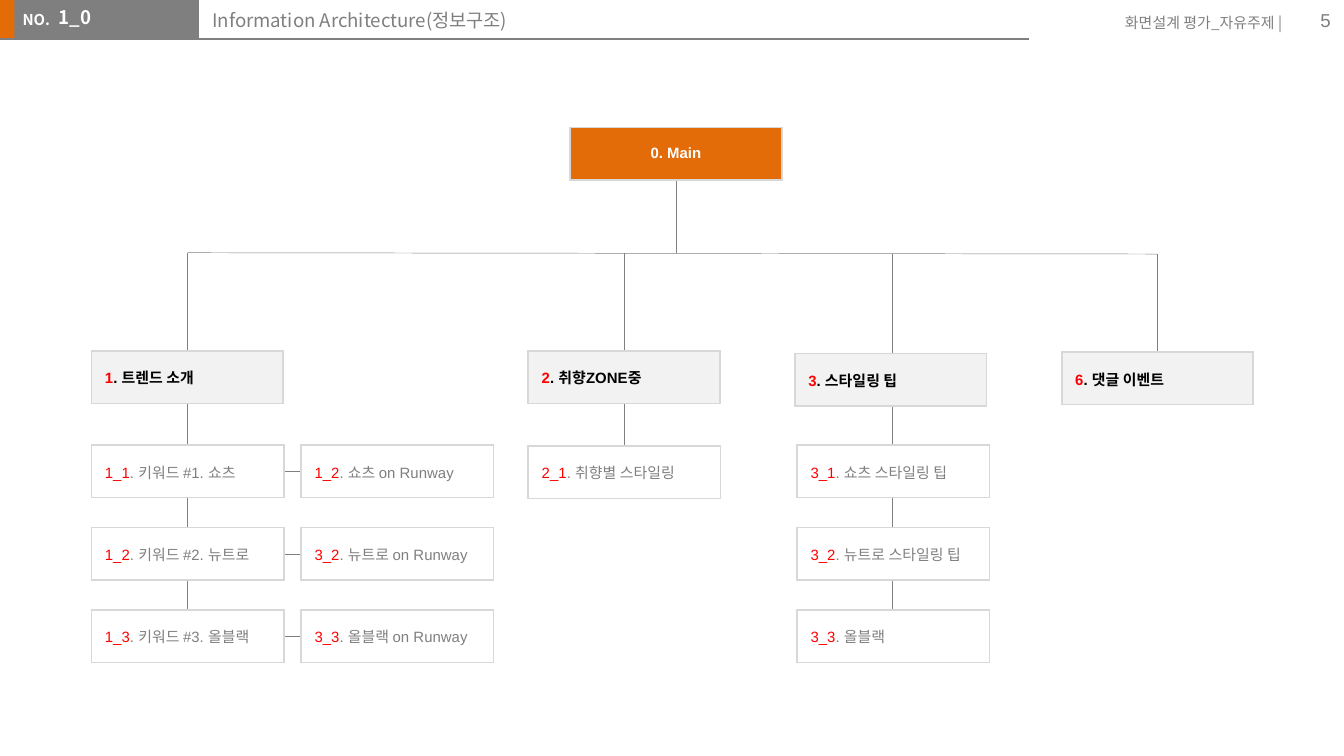
"""Builds the information architecture slide: a header bar and a site tree of boxes."""
from typing import NamedTuple

from lxml import etree
from pptx import Presentation
from pptx import util as u
from pptx.dml.color import RGBColor
from pptx.enum import shapes, text
from pptx.oxml.ns import qn

COLORS = {
    "orange": "E36C09", "gray": "7F7F7F", "line": "808080", "border": "D8D8D8",
    "pale": "F2F2F2", "white": "FFFFFF", "black": "000000", "red": "FF0000",
}
LATIN, KOREAN = "Arial", "Noto Sans CJK KR"
BOX_HEIGHT = 28.1
HEAD_TOP, CHILD_TOP, CHILD_STEP = 188, 238.5, 44.2
RUNWAY_LEFT = 161.3


class Branch(NamedTuple):
    number: str
    label: str
    left: float
    top: float
    child_left: float
    child_top: float
    children: list[tuple[str, str]]
    stem_x: float
    stem_top: float
    stem_bottom: float


BRANCHES = [
    Branch("1", ". 트렌드 소개", 49, HEAD_TOP, 49, CHILD_TOP,
           [("1_1", ". 키워드 #1. 쇼츠"), ("1_2", ". 키워드 #2. 뉴트로"), ("1_3", ". 키워드 #3. 올블랙")],
           100.6, 135.4, 327),
    Branch("2", ". 취향ZONE중", 283, HEAD_TOP, 283, 239,
           [("2_1", ". 취향별 스타일링")], 334.4, 135.7, 248.4),
    Branch("3", ". 스타일링 팁", 425.8, 189.4, 427, CHILD_TOP,
           [("3_1", ". 쇼츠 스타일링 팁"), ("3_2", ". 뉴트로 스타일링 팁"), ("3_3", ". 올블랙")],
           478.1, 135.9, 328.3),
    Branch("6", ". 댓글 이벤트", 568.8, 188.7, 568.8, CHILD_TOP, [], 620.1, 136.1, 207.4),
]
RUNWAY = [("1_2", ". 쇼츠 on Runway"), ("3_2", ". 뉴트로 on Runway"), ("3_3", ". 올블랙 on Runway")]


def rgb(name: str) -> RGBColor:
    return RGBColor.from_string(COLORS[name])


def write(frame, *runs: tuple[str, str], size: float = 8, font: str = KOREAN,
          bold: bool = False, align=text.PP_ALIGN.LEFT) -> None:
    """Fills the first paragraph with (wording, colour) runs."""
    paragraph = frame.paragraphs[0]
    paragraph.alignment = align
    for wording, color in runs:
        run = paragraph.add_run()
        run.text = wording
        run.font.size, run.font.bold, run.font.name = u.Pt(size), bold, font
        run.font.color.rgb = rgb(color)
        east_asian = etree.SubElement(run.font._element, qn("a:ea"))
        east_asian.set("typeface", KOREAN)


def set_frame(shape, inset_x: float = 7.2, inset_y: float = 3.6, anchor=text.MSO_ANCHOR.TOP):
    frame = shape.text_frame
    frame.word_wrap, frame.auto_size = True, text.MSO_AUTO_SIZE.NONE
    frame.vertical_anchor = anchor
    frame.margin_left = frame.margin_right = u.Pt(inset_x)
    frame.margin_top = frame.margin_bottom = u.Pt(inset_y)
    return frame


def add_text(slide, left: float, top: float, width: float, height: float, **layout):
    shape = slide.shapes.add_textbox(u.Pt(left), u.Pt(top), u.Pt(width), u.Pt(height))
    return set_frame(shape, **layout)


def add_bar(slide, left: float, width: float, color: str) -> None:
    shape = slide.shapes.add_shape(
        shapes.MSO_SHAPE.RECTANGLE, u.Pt(left), u.Pt(0), u.Pt(width), u.Pt(21))
    shape.shadow.inherit = False
    shape.fill.solid()
    shape.fill.fore_color.rgb = rgb(color)
    shape.line.fill.background()


def add_line(slide, x1: float, y1: float, x2: float, y2: float,
             color: str = "line", weight: float = 0.25) -> None:
    line = slide.shapes.add_connector(
        shapes.MSO_CONNECTOR.STRAIGHT, u.Pt(x1), u.Pt(y1), u.Pt(x2), u.Pt(y2))
    line.line.color.rgb = rgb(color)
    line.line.width = u.Pt(weight)
    etree.SubElement(line._element.spPr, qn("a:effectLst"))


def add_box(slide, left: float, top: float, width: float, fill: str,
            *runs: tuple[str, str], **style) -> None:
    """Draws a one-cell bordered table."""
    table = slide.shapes.add_table(
        1, 1, u.Pt(left), u.Pt(top), u.Pt(width), u.Pt(BOX_HEIGHT)).table
    table.first_row = table.horz_banding = False
    cell = table.cell(0, 0)
    cell.vertical_anchor = text.MSO_ANCHOR.MIDDLE
    properties = cell._tc.get_or_add_tcPr()
    for side in ("lnL", "lnR", "lnT", "lnB"):
        border = etree.SubElement(properties, qn(f"a:{side}"), w=str(u.Pt(1)))
        solid = etree.SubElement(border, qn("a:solidFill"))
        etree.SubElement(solid, qn("a:srgbClr"), val=COLORS["border"])
    cell.fill.solid()
    cell.fill.fore_color.rgb = rgb(fill)
    write(cell.text_frame, *runs, font=LATIN, **style)


def add_header(slide) -> None:
    add_bar(slide, -0.7, 8.6, "orange")
    add_bar(slide, 5.8, 100.8, "gray")
    add_bar(slide, -0.7, 6.5 + 2, "orange")
    write(add_text(slide, 5, 2.2, 29.5, 17.3), ("NO.", "white"), bold=True)
    add_line(slide, 0, 21, 551.5, 21, "gray", 0.75)
    write(add_text(slide, 576, 3.6, 118, 17.3), ("화면설계 평가_자유주제 |", "gray"),
          align=text.PP_ALIGN.RIGHT)
    write(add_text(slide, 676.8, 0, 43.2, 21.6, anchor=text.MSO_ANCHOR.MIDDLE),
          ("5", "gray"), size=10, font=LATIN, align=text.PP_ALIGN.RIGHT)
    write(add_text(slide, 24.5, -4.3, 61, 22.3, inset_y=7.2), ("1_0", "white"), size=10, bold=True)

    title = slide.shapes.title
    title.left, title.top, title.width, title.height = u.Pt(106.6), u.Pt(-2.2), u.Pt(442), u.Pt(23)
    write(set_frame(title, inset_y=7.2), ("Information Architecture(정보구조)", "gray"), size=10)


def add_tree(slide) -> None:
    for branch in BRANCHES:
        add_line(slide, branch.stem_x, branch.stem_top, branch.stem_x, branch.stem_bottom)
    first, last = BRANCHES[0], BRANCHES[-1]
    add_line(slide, last.stem_x, last.stem_top, first.stem_x, first.stem_top)
    add_line(slide, 362.3, 96.5, 362.3, 135.4)
    add_box(slide, 305.4, 68.2, 113.4, "orange", ("0. Main", "white"),
            bold=True, align=text.PP_ALIGN.CENTER)

    for row in range(len(RUNWAY)):
        middle = CHILD_TOP + row * CHILD_STEP + BOX_HEIGHT / 2
        add_line(slide, 126, middle, 186, middle)
    for branch in BRANCHES:
        add_box(slide, branch.left, branch.top, 102.6, "pale",
                (branch.number, "red"), (branch.label, "black"), bold=True)
        add_column(slide, branch.child_left, branch.child_top, branch.children)
    add_column(slide, RUNWAY_LEFT, CHILD_TOP, RUNWAY)


def add_column(slide, left: float, top: float, pages: list[tuple[str, str]]) -> None:
    for row, (number, label) in enumerate(pages):
        add_box(slide, left, top + row * CHILD_STEP, 103, "white", (number, "red"), (label, "gray"))


def main() -> None:
    presentation = Presentation()
    presentation.slide_width, presentation.slide_height = u.Pt(720), u.Pt(405)
    slide = presentation.slides.add_slide(presentation.slide_layouts[5])
    add_header(slide)
    add_tree(slide)
    presentation.save("out.pptx")


if __name__ == "__main__":
    main()
